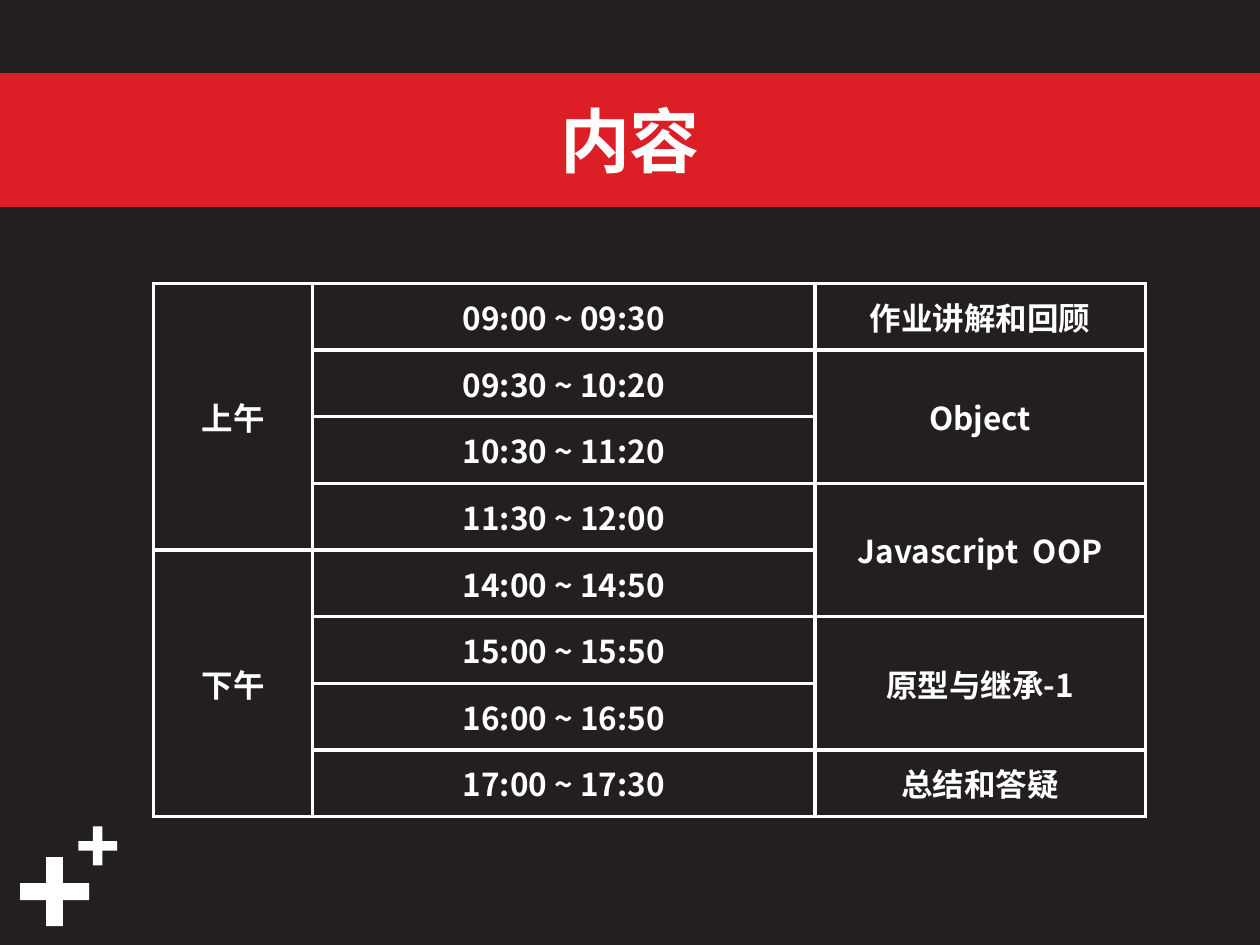
from lxml import etree
from pptx import Presentation
from pptx import util as u
from pptx.dml.color import RGBColor
from pptx.enum import shapes, text
from pptx.oxml.ns import qn

WHITE = RGBColor(0xFF, 0xFF, 0xFF)
RED = RGBColor(0xDC, 0x1F, 0x26)
BLACK = RGBColor(0x23, 0x1F, 0x20)
FONT = "Noto Sans CJK SC"
BORDER_WIDTH = u.Pt(2.25)

# Each group is (label, number of rows it covers)
HALF_DAYS = [("上午", 4), ("下午", 4)]
TIMES = [
    "09:00 ~ 09:30", "09:30 ~ 10:20", "10:30 ~ 11:20", "11:30 ~ 12:00",
    "14:00 ~ 14:50", "15:00 ~ 15:50", "16:00 ~ 16:50", "17:00 ~ 17:30",
]
TOPICS = [("作业讲解和回顾", 1), ("Object", 2), ("Javascript  OOP", 2),
          ("原型与继承-1", 2), ("总结和答疑", 1)]
COLUMN_SHARES = [0.16, 0.507, 0.333]


def write_centred(frame, words, size):
    """Write one centred, bold white line."""
    paragraph = frame.paragraphs[0]
    paragraph.alignment = text.PP_ALIGN.CENTER
    run = paragraph.add_run()
    run.text = words
    for key, value in {"size": u.Pt(size), "bold": True, "name": FONT}.items():
        setattr(run.font, key, value)
    run.font.color.rgb = WHITE
    east_asian = etree.SubElement(run.font._element, qn("a:ea"))
    east_asian.set("typeface", FONT)


def add_title_band(slide, box, words):
    band = slide.shapes.title
    for key, value in zip(("left", "top", "width", "height"), box):
        setattr(band, key, value)
    band.fill.solid()
    band.fill.fore_color.rgb = RED
    band.line.color.rgb = RED
    band.line.width = u.Pt(3)
    frame = band.text_frame
    frame.word_wrap = True
    frame.vertical_anchor = text.MSO_ANCHOR.MIDDLE
    write_centred(frame, words, 40)


def add_plus_marks(slide, box):
    """A large plus at the bottom left and a small one at the top right."""
    left, top, width, height = box
    large, small = int(width * 0.71), int(width * 0.4)
    marks = [(left, top + height - large, large),
             (left + width - small, top, small)]
    for x, y, side in marks:
        plus = slide.shapes.add_shape(shapes.MSO_SHAPE.CROSS, x, y, side, side)
        plus.adjustments[0] = 0.378
        plus.shadow.inherit = False
        plus.fill.solid()
        plus.fill.fore_color.rgb = WHITE
        plus.line.fill.background()


def set_borders(cell):
    properties = cell._tc.get_or_add_tcPr()
    for position, side in enumerate(("lnL", "lnR", "lnT", "lnB")):
        line = etree.Element(qn(f"a:{side}"), w=str(BORDER_WIDTH))
        fill = etree.SubElement(line, qn("a:solidFill"))
        etree.SubElement(fill, qn("a:srgbClr"), val=str(WHITE))
        properties.insert(position, line)


def fill_column(table, column, groups):
    """Fill a column from the top, merging the rows of each group."""
    row = 0
    for words, span in groups:
        cell = table.cell(row, column)
        if span > 1:
            cell.merge(table.cell(row + span - 1, column))
        cell.vertical_anchor = text.MSO_ANCHOR.MIDDLE
        write_centred(cell.text_frame, words, 18)
        row += span


def add_schedule(slide, box):
    left, top, width, height = box
    table = slide.shapes.add_table(
        len(TIMES), len(COLUMN_SHARES), left, top, width, height).table
    table.first_row = table.horz_banding = False
    for column, share in zip(table.columns, COLUMN_SHARES):
        column.width = int(width * share)
    for row in table.rows:
        row.height = height // len(TIMES)
    for cell in table.iter_cells():
        cell.fill.background()
        set_borders(cell)
    columns = [HALF_DAYS, [(time, 1) for time in TIMES], TOPICS]
    for index, groups in enumerate(columns):
        fill_column(table, index, groups)


def main():
    deck = Presentation()
    deck.slide_width, deck.slide_height = u.Inches(10), u.Inches(7.5)
    slide = deck.slides.add_slide(deck.slide_layouts[5])
    slide.background.fill.solid()
    slide.background.fill.fore_color.rgb = BLACK

    def area(*inches):
        return [u.Inches(value) for value in inches]

    # Corner marks, title band, timetable
    add_plus_marks(slide, area(0.16, 6.56, 0.77, 0.79))
    add_title_band(slide, area(0, 0.6, 10, 1.02), "内容")
    add_schedule(slide, area(1.22, 2.25, 7.87, 4.23))
    deck.save("out.pptx")


if __name__ == "__main__":
    main()
